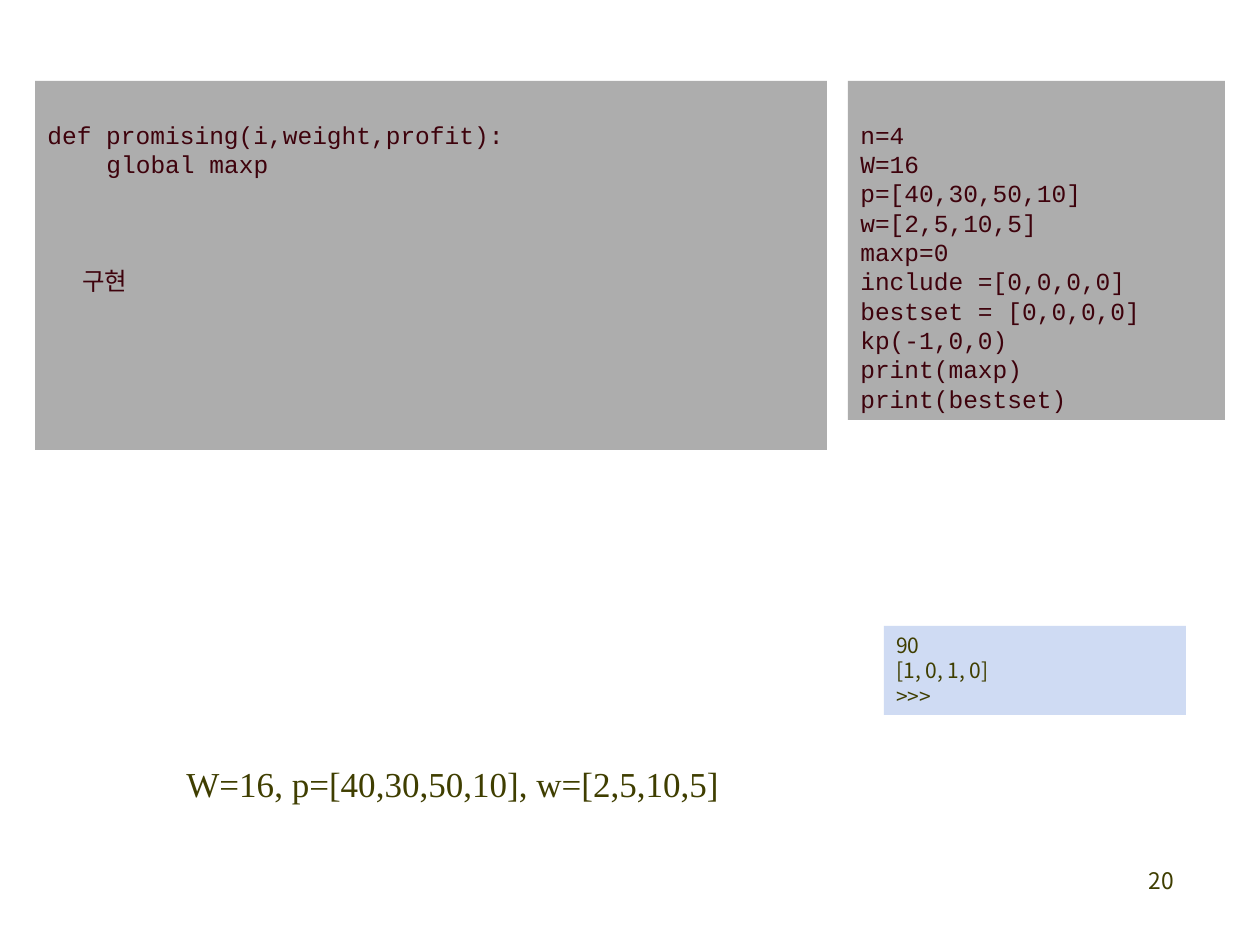
from pptx import Presentation
from pptx.dml.color import RGBColor
from pptx.enum.shapes import MSO_SHAPE
from pptx.enum.text import MSO_ANCHOR, PP_ALIGN
from pptx.util import Emu, Pt

SCALE = 914400 // 126
COLORS = {"code": "ADADAD", "out": "CFDBF3", "wine": "3E020C", "olive": "3F3E00"}
MONO, SANS, SERIF = "Courier New", "Noto Sans CJK KR", "Times New Roman"


def px(n):
    """Turn pixels into EMU."""
    return Emu(round(n * SCALE))


def color(name):
    """Look up a colour."""
    return RGBColor.from_string(COLORS[name])


def write(shape, lines, font, size, ink, pitch=None, top=6):
    """Fill a shape with left-aligned lines of one style."""
    frame = shape.text_frame
    frame.word_wrap = True
    frame.vertical_anchor = MSO_ANCHOR.TOP
    frame.margin_top = px(top)
    frame.text = "\n".join(lines)
    for para in frame.paragraphs:
        para.alignment = PP_ALIGN.LEFT
        if pitch:
            para.line_spacing = Pt(pitch)
        for run in para.runs:
            run.font.name = font
            run.font.size = Pt(size)
            run.font.color.rgb = color(ink)
    return frame


def panel(slide, box, fill):
    """Add a plain filled box."""
    shape = slide.shapes.add_shape(MSO_SHAPE.RECTANGLE, *map(px, box))
    shape.shadow.inherit = False
    shape.fill.solid()
    shape.fill.fore_color.rgb = color(fill)
    shape.line.fill.background()
    return shape


def code(slide, box, lines):
    """Add a code panel and return its text frame."""
    return write(panel(slide, box, "code"), lines, MONO, 14, "wine", 16.76, 39)


def stub(slide, box):
    """Add the function that is left to be written."""
    frame = code(slide, box, ["def promising(i,weight,profit):", "global maxp", "구현"])
    body, task = frame.paragraphs[1:]
    for para, indent in ((body, 59), (task, 35)):
        props = para._p.get_or_add_pPr()
        props.set("marL", str(px(indent)))
        props.set("indent", "0")
    task.space_before = Pt(50)


def output(slide, box):
    """Add the printed result."""
    write(panel(slide, box, "out"), ["90", "[1, 0, 1, 0]", ">>>"], SANS, 12, "olive", 14.6)


def label(slide, box, text, font, size, pitch=None):
    """Add one line of text and return its frame."""
    shape = slide.shapes.add_textbox(*map(px, box))
    return write(shape, [text], font, size, "olive", pitch)


def main():
    """Build and save the slide."""
    deck = Presentation()
    deck.slide_width, deck.slide_height = px(1260), px(945)
    slide = deck.slides.add_slide(deck.slide_layouts[6])
    page = label(slide, (924, 861, 262, 63), "20", SANS, 13)
    page.paragraphs[0].alignment = PP_ALIGN.RIGHT
    stub(slide, (35, 81, 792, 369))
    code(slide, (848, 81, 377, 339), [
        "n=4", "W=16", "p=[40,30,50,10]", "w=[2,5,10,5]", "maxp=0",
        "include =[0,0,0,0]", "bestset = [0,0,0,0]", "kp(-1,0,0)",
        "print(maxp)", "print(bestset)"])
    given = label(slide, (174, 750, 562, 62), "W=16, p=[40,30,50,10], w=[2,5,10,5]", SERIF, 20, 28)
    given.word_wrap = False
    output(slide, (884, 626, 302, 89))
    deck.save("out.pptx")


main()
